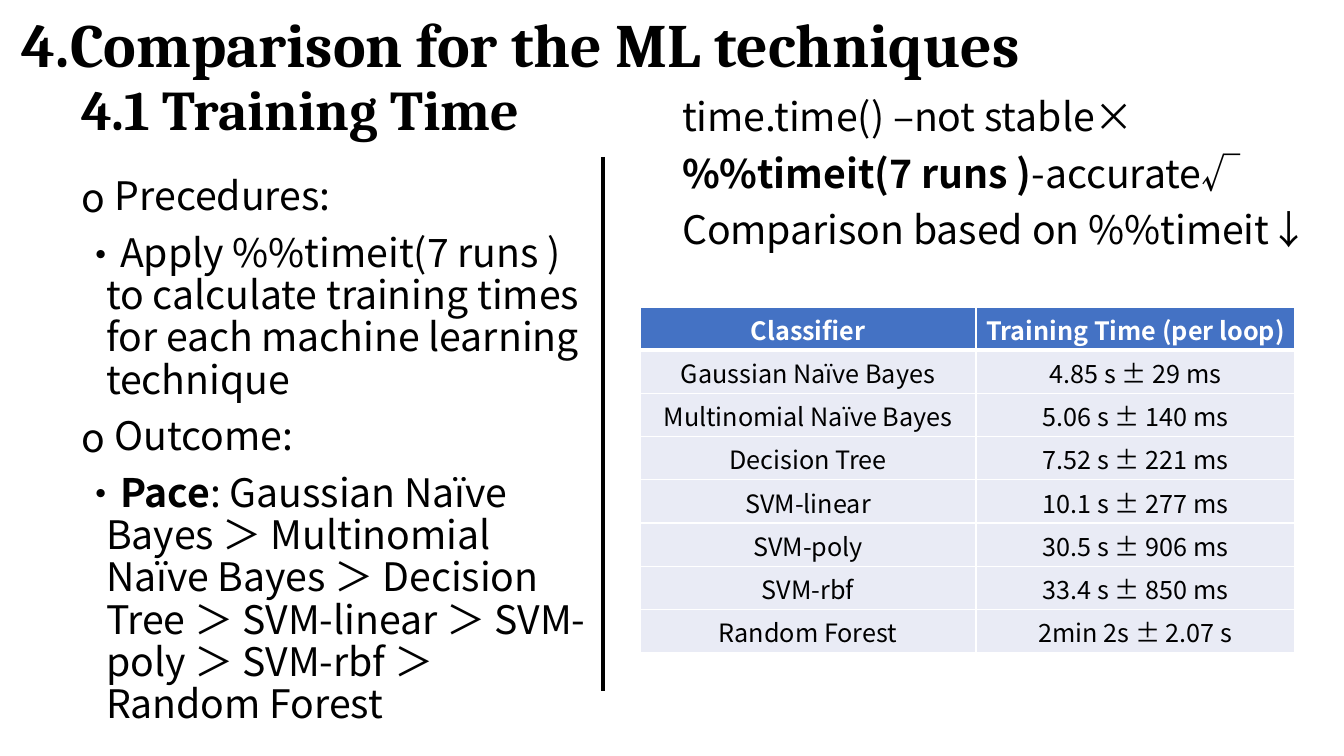
import pptx
import pptx.chart.data
import pptx.dml.color
import pptx.enum.shapes
import pptx.enum.text
import pptx.oxml
import pptx.oxml.ns
import pptx.util

HEADING = "Cambria"
BODY = "Noto Sans CJK SC"
BLACK = "000000"
WHITE = "FFFFFF"
HEADER_BLUE = "4472C4"
ROW_TINT = "E9EBF5"

PROCEDURES = [
    ("o", [(" Precedures:", False)]),
    ("•", [("Apply %%timeit(7 runs ) to calculate training times for each "
            "machine learning technique", False)]),
    ("o", [(" Outcome:", False)]),
    ("•", [("Pace", True),
           (": Gaussian Naïve Bayes ＞ Multinomial Naïve Bayes ＞ Decision Tree"
            " ＞ SVM-linear ＞ SVM-poly ＞ SVM-rbf ＞ Random Forest", False)]),
]
TIMERS = [
    (None, [("time.time() –not stable×", False)]),
    (None, [("%%timeit(7 runs )", True), ("-accurate√", False)]),
    (None, [("Comparison based on %%timeit↓", False)]),
]
TRAINING_TIMES = [
    ("Classifier", "Training Time (per loop)"),
    ("Gaussian Naïve Bayes", "4.85 s ± 29 ms"),
    ("Multinomial Naïve Bayes", "5.06 s ± 140 ms"),
    ("Decision Tree", "7.52 s ± 221 ms"),
    ("SVM-linear", "10.1 s ± 277 ms"),
    ("SVM-poly", "30.5 s ± 906 ms"),
    ("SVM-rbf", "33.4 s ± 850 ms"),
    ("Random Forest", "2min 2s ± 2.07 s"),
]


def px(length):
    return pptx.util.Emu(round(length * 914400 / 100.8))


def color(value):
    return pptx.dml.color.RGBColor.from_string(value)


def add_element(parent, tag, **attributes):
    element = pptx.oxml.ns.qn(tag)
    child = parent.makeelement(element, attributes)
    parent.append(child)
    return child


class SlideBuilder:
    def __init__(self, slide):
        self.slide = slide

    def place(self, shape, left, top, width, height):
        shape.left, shape.top = px(left), px(top)
        shape.width, shape.height = px(width), px(height)

    def style(self, para, size, name, ink=BLACK, bold=None):
        font = para.font
        font.size = pptx.util.Pt(size)
        font.bold = bold
        font.color.rgb = color(ink)
        font.name = name
        properties = para._p.find(".//" + pptx.oxml.ns.qn("a:defRPr"))
        add_element(properties, "a:ea", typeface=name)

    def heading(self, shape, text, size, *bounds):
        self.place(shape, *bounds)
        frame = shape.text_frame
        frame.word_wrap = True
        frame.auto_size = pptx.enum.text.MSO_AUTO_SIZE.NONE
        frame.vertical_anchor = pptx.enum.text.MSO_ANCHOR.MIDDLE
        frame.text = text
        para = frame.paragraphs[0]
        para.alignment = pptx.enum.text.PP_ALIGN.LEFT
        para.line_spacing = 0.9
        self.style(para, size, HEADING, bold=True)

    def text_box(self):
        return self.slide.shapes.add_textbox(0, 0, 0, 0)

    def body(self, shape, items, *bounds):
        self.place(shape, *bounds)
        frame = shape.text_frame
        frame.word_wrap = True
        frame.auto_size = pptx.enum.text.MSO_AUTO_SIZE.NONE
        for index, (bullet, spans) in enumerate(items):
            para = frame.add_paragraph() if index else frame.paragraphs[0]
            para.line_spacing = 0.9
            para.space_before = pptx.util.Pt(10 if index else 0)
            self.bullet(para, bullet)
            self.style(para, 28, BODY)
            for text, bold in spans:
                span = para.add_run()
                span.text = text
                span.font.bold = bold

    def bullet(self, para, character):
        properties = para._p.get_or_add_pPr()
        indent = px(25) if character else 0
        properties.set("marL", str(indent))
        properties.set("indent", str(-indent))
        if character:
            add_element(properties, "a:buFont", typeface=BODY)
            add_element(properties, "a:buChar", char=character)
        else:
            add_element(properties, "a:buNone")

    def line(self, left, top, right, bottom, weight):
        connector = self.slide.shapes.add_connector(
            pptx.enum.shapes.MSO_CONNECTOR.STRAIGHT,
            px(left), px(top), px(right), px(bottom))
        connector.line.color.rgb = color(BLACK)
        connector.line.width = pptx.util.Pt(weight)
        add_element(connector._element.spPr, "a:effectLst")

    def table(self, rows, widths, left, top, height):
        table = self.slide.shapes.add_table(
            len(rows), len(widths), px(left), px(top),
            px(sum(widths)), px(height)).table
        for column, width in zip(table.columns, widths):
            column.width = px(width)
        for row_index, row in enumerate(rows):
            for column_index, text in enumerate(row):
                cell = table.cell(row_index, column_index)
                self.cell(cell, text, row_index)

    def cell(self, cell, text, row_index):
        header = row_index == 0
        cell.margin_left = cell.margin_right = cell.margin_top = px(1)
        cell.margin_bottom = 0
        cell.vertical_anchor = pptx.enum.text.MSO_ANCHOR.MIDDLE
        properties = cell._tc.get_or_add_tcPr()
        weights = {"L": 1, "R": 1, "T": 3 if row_index == 1 else 1,
                   "B": 3 if header else 1}
        for side, weight in weights.items():
            border = add_element(properties, "a:ln" + side,
                                 w=str(pptx.util.Pt(weight)))
            fill = add_element(border, "a:solidFill")
            add_element(fill, "a:srgbClr", val=WHITE)
        cell.fill.solid()
        cell.fill.fore_color.rgb = color(HEADER_BLUE if header else ROW_TINT)
        cell.text = text
        para = cell.text_frame.paragraphs[0]
        para.alignment = pptx.enum.text.PP_ALIGN.CENTER
        self.style(para, 18, BODY, WHITE if header else BLACK, header)


def main():
    deck = pptx.Presentation()
    deck.slide_width, deck.slide_height = px(1344), px(756)
    page = deck.slides.add_slide(deck.slide_layouts.get_by_name("Two Content"))
    title, procedures, timers = page.placeholders
    builder = SlideBuilder(page)
    builder.heading(title, "4.1 Training Time", 40, 71, 39, 1159, 146)
    builder.body(procedures, PROCEDURES, 71, 172, 530, 584)
    builder.line(603, 157, 603, 691, 3)
    builder.body(timers, TIMERS, 672, 93, 655, 211)
    builder.table(TRAINING_TIMES, [336, 319], 640, 307, 346)
    builder.heading(builder.text_box(), "4.Comparison for the ML techniques",
                    44, 12, -25, 1159, 146)
    deck.save("out.pptx")


if __name__ == "__main__":
    main()
